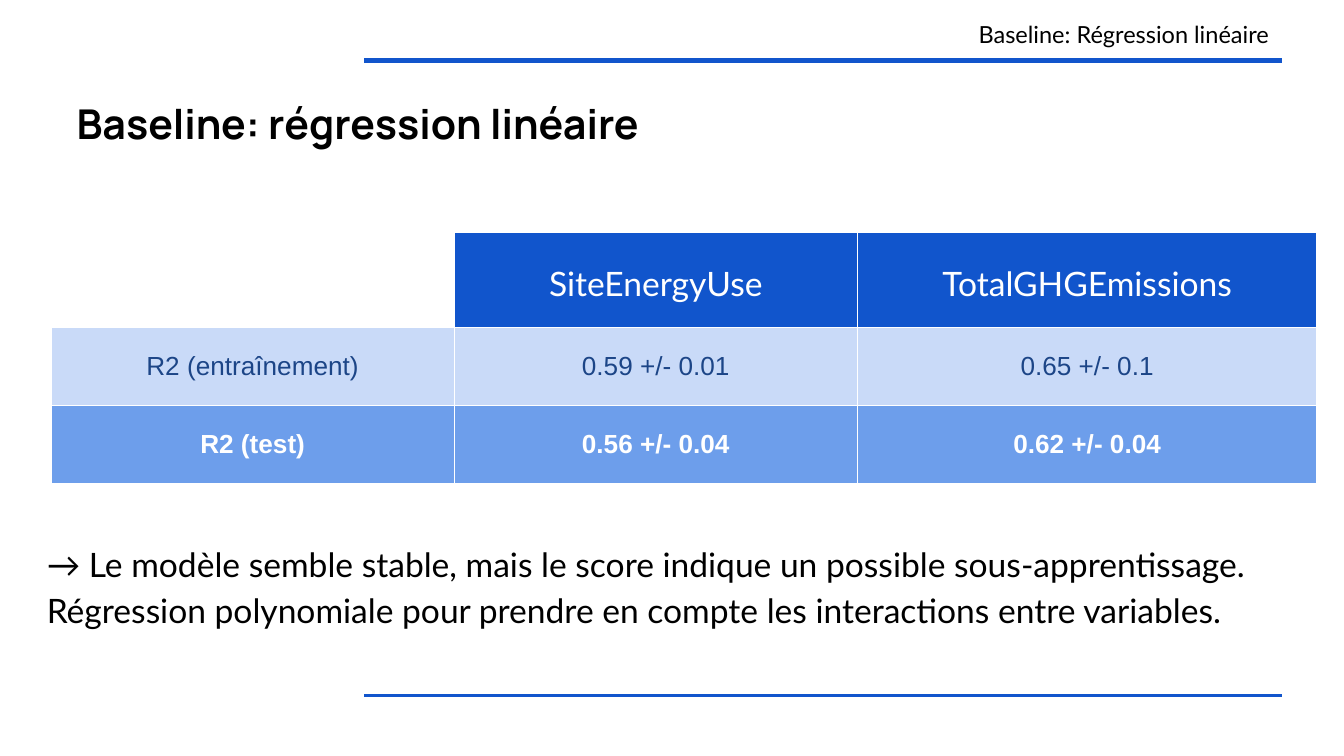
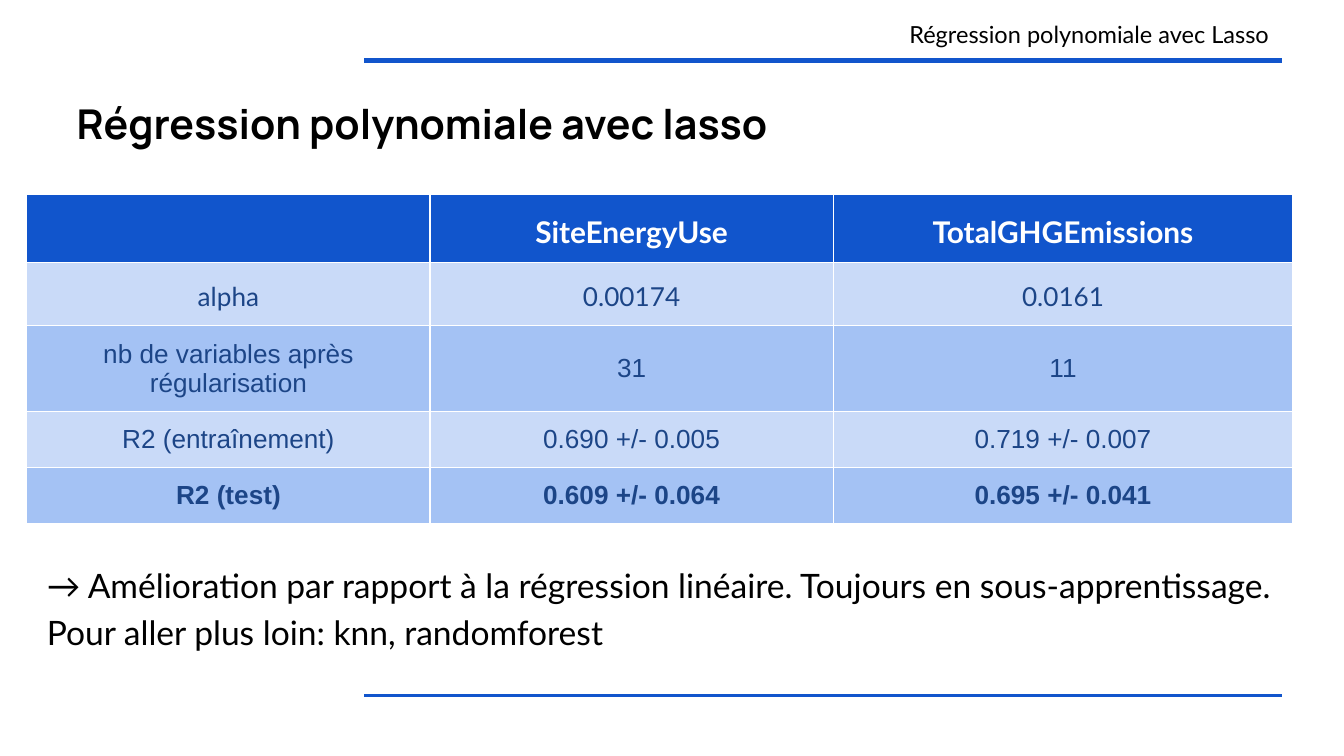
import pptx
import pptx.dml.color
import pptx.enum.shapes
import pptx.enum.text
import pptx.oxml
import pptx.oxml.ns
import pptx.util

Inches, Pt = pptx.util.Inches, pptx.util.Pt
RGBColor = pptx.dml.color.RGBColor
ALIGN = pptx.enum.text.PP_ALIGN
ANCHOR = pptx.enum.text.MSO_ANCHOR
AUTO_SIZE = pptx.enum.text.MSO_AUTO_SIZE

# Shared colours and fonts
BLACK = RGBColor(0x00, 0x00, 0x00)
WHITE = RGBColor(0xFF, 0xFF, 0xFF)
BLUE = RGBColor(0x11, 0x55, 0xCC)
NAVY = RGBColor(0x1C, 0x45, 0x87)
PALE = RGBColor(0xC9, 0xDA, 0xF8)
SKY = RGBColor(0xA4, 0xC2, 0xF4)
MEDIUM = RGBColor(0x6D, 0x9E, 0xEB)
HEADING, TEXT, FIGURES = "Manrope", "Lato", "Arial"

# Shared grid, in inches
WIDTH, HEIGHT = 10, 5.625
RIGHT = 0.954 * WIDTH
BAND_LEFT = 0.271 * WIDTH
TITLE_LEFT = 0.047 * WIDTH
NOTE_LEFT = 0.025 * WIDTH
BANDS = [(0.08 * HEIGHT, 3), (0.92 * HEIGHT, 1.5)]
COLUMNS = [3, 3, 3.42]
INSET = Inches(0.1)
BORDER = (
    '<a:{side} {ns} w="9525"><a:solidFill><a:srgbClr val="{color}"/>'
    "</a:solidFill></a:{side}>"
)
NAMESPACE = pptx.oxml.ns.nsdecls("a")

# Each table row: minimum height, fill, text colour, size, font, bold, spaced, texts
SLIDES = [
    {
        "title": "Baseline: régression linéaire",
        "header": "Baseline: Régression linéaire",
        "table_at": (0.38, 1.73),
        "corner_filled": False,
        "rows": [
            (0.71, BLUE, WHITE, 18, TEXT, False, True,
             ["", "SiteEnergyUse", "TotalGHGEmissions"]),
            (0.58, PALE, NAVY, 14, FIGURES, False, False,
             ["R2 (entraînement)", "0.59 +/- 0.01", "0.65 +/- 0.1"]),
            (0.58, MEDIUM, WHITE, 14, FIGURES, True, False,
             ["R2 (test)", "0.56 +/- 0.04", "0.62 +/- 0.04"]),
        ],
        "note_top": 3.9,
        "note": "→ Le modèle semble stable, mais le score indique un possible "
                "sous-apprentissage. Régression polynomiale pour prendre en compte "
                "les interactions entre variables.",
    },
    {
        "title": "Régression polynomiale avec lasso",
        "header": "Régression polynomiale avec Lasso",
        "table_at": (0.2, 1.45),
        "corner_filled": True,
        "rows": [
            (0.11, BLUE, WHITE, 16, TEXT, True, True,
             ["", "SiteEnergyUse", "TotalGHGEmissions"]),
            (0.37, PALE, NAVY, 14, TEXT, False, True,
             ["alpha", "0.00174", "0.0161"]),
            (0.24, SKY, NAVY, 14, FIGURES, False, False,
             ["nb de variables après régularisation", "31", "11"]),
            (0.4, PALE, NAVY, 14, FIGURES, False, False,
             ["R2 (entraînement)", "0.690 +/- 0.005", "0.719 +/- 0.007"]),
            (0.39, SKY, NAVY, 14, FIGURES, True, False,
             ["R2 (test)", "0.609 +/- 0.064", "0.695 +/- 0.041"]),
        ],
        "note_top": 4.06,
        "note": "→ Amélioration par rapport à la régression linéaire. Toujours en "
                "sous-apprentissage. Pour aller plus loin: knn, randomforest",
    },
]


def write(frame, text, font, size, color, bold=False, align=ALIGN.LEFT, spaced=False):
    """Fill a text frame with one formatted paragraph."""
    frame.text = text
    para = frame.paragraphs[0]
    para.alignment = align
    para.space_before = Pt(0)
    if spaced:
        para.line_spacing = 1.15
        para.space_after = Pt(12)
    for span in para.runs:
        span.font.name = font
        span.font.size = Pt(size)
        span.font.bold = bold
        span.font.color.rgb = color
    return para


def place(box, left, top, width, height):
    """Position a text shape with the shared insets."""
    box.left, box.top = Inches(left), Inches(top)
    box.width, box.height = Inches(width), Inches(height)
    frame = box.text_frame
    frame.margin_left = frame.margin_right = INSET
    frame.margin_top = frame.margin_bottom = INSET
    frame.word_wrap = True
    frame.auto_size = AUTO_SIZE.NONE
    frame.vertical_anchor = ANCHOR.TOP
    return frame


deck = pptx.Presentation()
deck.slide_width, deck.slide_height = Inches(WIDTH), Inches(HEIGHT)

for content in SLIDES:
    page = deck.slides.add_slide(deck.slide_layouts[1])

    # Blue bands at the top and bottom
    for band_y, weight in BANDS:
        band = page.shapes.add_connector(
            pptx.enum.shapes.MSO_CONNECTOR.STRAIGHT,
            Inches(BAND_LEFT), Inches(band_y), Inches(RIGHT), Inches(band_y))
        band.line.color.rgb = BLUE
        band.line.width = Pt(weight)
        band.element.spPr.append(
            pptx.oxml.parse_xml(f"<a:effectLst {NAMESPACE}/>"))

    # Title and running header
    frame = place(page.shapes.title, TITLE_LEFT, 0.63, RIGHT - TITLE_LEFT, 0.69)
    write(frame, content["title"], HEADING, 22, BLACK, bold=True)
    frame = place(page.placeholders[1], BAND_LEFT, 0.05, RIGHT - BAND_LEFT, 0.33)
    para = write(frame, content["header"], TEXT, 12.6, BLACK, align=ALIGN.RIGHT)
    properties = para._p.get_or_add_pPr()
    properties.set("marL", "0")
    properties.set("indent", "0")
    properties.append(pptx.oxml.parse_xml(f"<a:buNone {NAMESPACE}/>"))

    # Score table; rows grow to fit their text
    rows = content["rows"]
    left, top = content["table_at"]
    table = page.shapes.add_table(
        len(rows), len(COLUMNS), Inches(left), Inches(top),
        Inches(sum(COLUMNS)), Inches(sum(row[0] for row in rows))).table
    table.first_row = table.horz_banding = False
    for column, width in zip(table.columns, COLUMNS):
        column.width = Inches(width)
    for r, (height, fill, color, size, font, bold, spaced, texts) in enumerate(rows):
        table.rows[r].height = Inches(height)
        for c, text in enumerate(texts):
            cell = table.cell(r, c)
            cell.margin_left = cell.margin_right = INSET
            cell.margin_top = cell.margin_bottom = INSET
            cell.vertical_anchor = ANCHOR.MIDDLE
            if text or content["corner_filled"]:
                cell.fill.solid()
                cell.fill.fore_color.rgb = fill
            else:
                cell.fill.background()
            if text:
                write(cell.text_frame, text, font, size, color, bold,
                      ALIGN.CENTER, spaced)
            for order, side in enumerate(("lnL", "lnR", "lnT", "lnB")):
                border = BORDER.format(side=side, ns=NAMESPACE, color=WHITE)
                cell._tc.get_or_add_tcPr().insert(order, pptx.oxml.parse_xml(border))

    # Conclusion below the table
    box = page.shapes.add_textbox(0, 0, 0, 0)
    frame = place(box, NOTE_LEFT, content["note_top"], 0.97 * WIDTH, 0.85)
    frame.auto_size = AUTO_SIZE.SHAPE_TO_FIT_TEXT
    write(frame, content["note"], TEXT, 18, BLACK, spaced=True)

deck.save("out.pptx")
